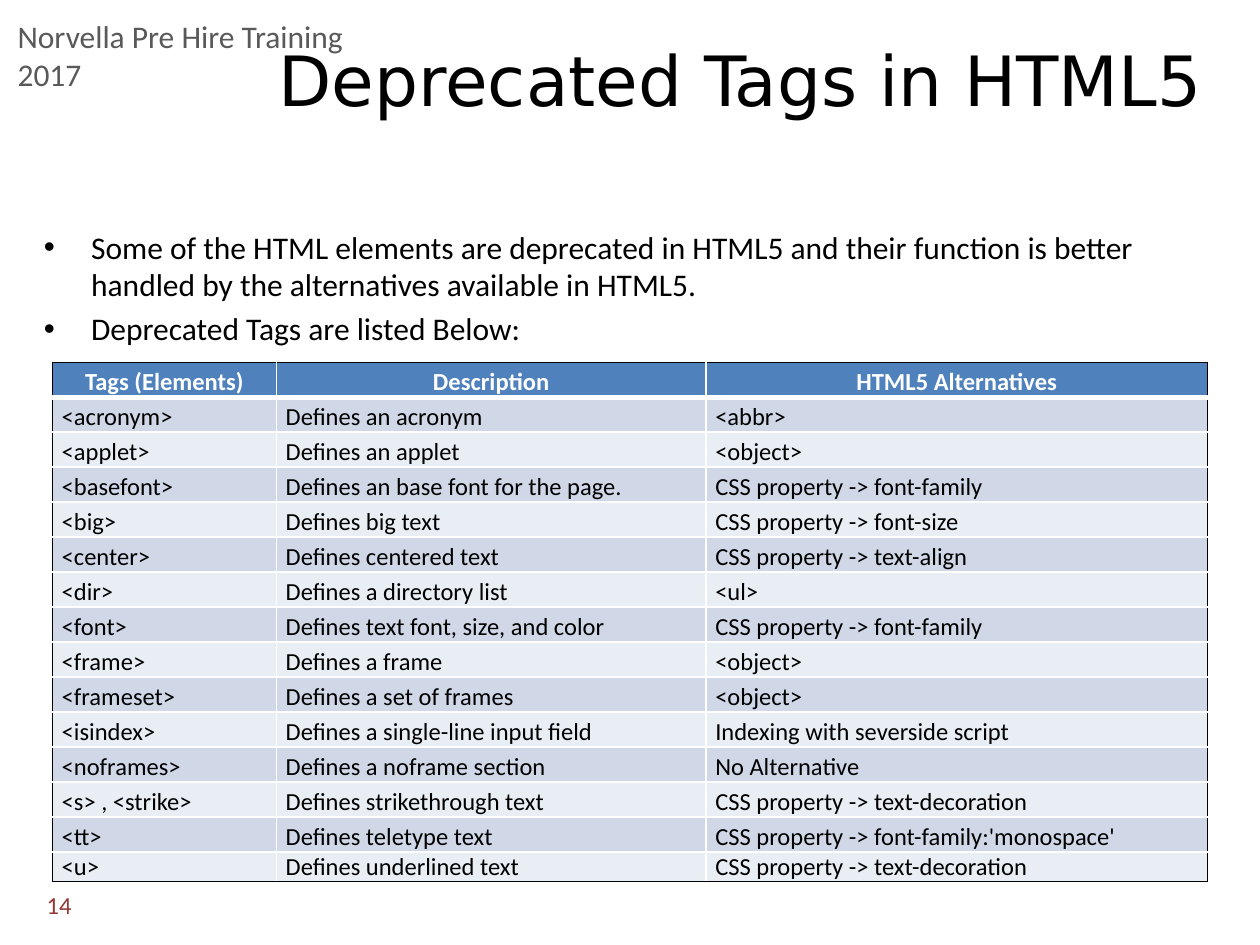
from pptx import Presentation, util as u
from pptx.dml.color import RGBColor
from pptx.enum import text as t
from lxml import etree

BLACK = RGBColor(0, 0, 0)
WHITE = RGBColor(255, 255, 255)
GREY = RGBColor(0x59, 0x59, 0x59)
RED = RGBColor(0x95, 0x37, 0x35)
BLUE = RGBColor(0x4F, 0x81, 0xBD)
DARK = RGBColor(0xD0, 0xD8, 0xE8)
LIGHT = RGBColor(0xE9, 0xED, 0xF4)
NS = "http://schemas.openxmlformats.org/drawingml/2006/main"
LEFT, MID, RIGHT = t.PP_ALIGN.LEFT, t.PP_ALIGN.CENTER, t.PP_ALIGN.RIGHT


def tag(name):
    return "{%s}%s" % (NS, name)


class Deck:
    font = "Calibri"

    def __init__(self, wide, high):
        self.prs = Presentation()
        self.prs.slide_width = u.Pt(wide)
        self.prs.slide_height = u.Pt(high)
        self.slide = self.prs.slides.add_slide(self.prs.slide_layouts[6])

    def style(self, para, size, color, align=LEFT, bold=False, font=None):
        para.alignment = align
        for run in para.runs:
            run.font.name = font or self.font
            run.font.size = u.Pt(size)
            run.font.bold = bold
            run.font.color.rgb = color

    def text(self, box, words, size, color, align=LEFT, font=None,
             anchor=t.MSO_ANCHOR.TOP, wrap=True):
        frame = self.slide.shapes.add_textbox(*map(u.Pt, box)).text_frame
        frame.word_wrap = wrap
        frame.vertical_anchor = anchor
        frame.text = words
        for para in frame.paragraphs:
            self.style(para, size, color, align, font=font)
        return frame

    def list(self, box, items, size, color, indent):
        frame = self.text(box, "\n".join(items), size, color)
        for para in frame.paragraphs:
            para.space_before = u.Pt(size * 0.2)
            props = para._p.get_or_add_pPr()
            props.set("marL", str(u.Pt(indent)))
            props.set("indent", str(-u.Pt(indent)))
            etree.SubElement(props, tag("buFont"), typeface="Arial")
            etree.SubElement(props, tag("buChar"), char="•")

    def edge(self, cell, side, color, width):
        line = etree.Element(tag("ln" + side), w=str(u.Pt(width)))
        fill = etree.SubElement(line, tag("solidFill"))
        etree.SubElement(fill, tag("srgbClr"), val=str(color))
        cell._tc.get_or_add_tcPr().insert("LRTB".index(side), line)

    def cell(self, cell, words, head, fill):
        cell.text = words
        cell.vertical_anchor = t.MSO_ANCHOR.BOTTOM
        cell.margin_left = cell.margin_right = u.Pt(5.3)
        cell.margin_top = cell.margin_bottom = 0
        cell.fill.solid()
        cell.fill.fore_color.rgb = fill
        self.style(cell.text_frame.paragraphs[0], 14, WHITE if head else BLACK,
                   MID if head else LEFT, head)

    def table(self, left, top, cols, rows, data):
        grid = self.slide.shapes.add_table(
            len(rows), len(cols), u.Pt(left), u.Pt(top),
            u.Pt(sum(cols)), u.Pt(sum(rows))).table
        grid.horz_banding = False
        for col, wide in zip(grid.columns, cols):
            col.width = u.Pt(wide)
        for row, high in zip(grid.rows, rows):
            row.height = u.Pt(high)
        for r, line in enumerate(data):
            fill = BLUE if r == 0 else DARK if r % 2 else LIGHT
            for c, words in enumerate(line):
                cell = grid.cell(r, c)
                self.cell(cell, words, r == 0, fill)
                outer = {"L": c == 0, "R": c == len(cols) - 1,
                         "T": r == 0, "B": r == len(rows) - 1}
                for side, out in outer.items():
                    thick = (r, side) in ((0, "B"), (1, "T"))
                    self.edge(cell, side, BLACK if out else WHITE,
                              0.75 if out else 3 if thick else 1)


TAGS = [
    ("Tags (Elements)", "Description", "HTML5 Alternatives"),
    ("<acronym>", "Defines an acronym", "<abbr>"),
    ("<applet>", "Defines an applet", "<object>"),
    ("<basefont>", "Defines an base font for the page.", "CSS property -> font-family"),
    ("<big>", "Defines big text", "CSS property -> font-size"),
    ("<center>", "Defines centered text", "CSS property -> text-align"),
    ("<dir>", "Defines a directory list", "<ul>"),
    ("<font>", "Defines text font, size, and color", "CSS property -> font-family"),
    ("<frame>", "Defines a frame", "<object>"),
    ("<frameset>", "Defines a set of frames", "<object>"),
    ("<isindex>", "Defines a single-line input field", "Indexing with severside script"),
    ("<noframes>", "Defines a noframe section", "No Alternative"),
    ("<s> , <strike>", "Defines strikethrough text", "CSS property -> text-decoration"),
    ("<tt>", "Defines teletype text", "CSS property -> font-family:'monospace'"),
    ("<u>", "Defines underlined text", "CSS property -> text-decoration"),
]
POINTS = [
    "Some of the HTML elements are deprecated in HTML5 and their function is "
    "better handled by the alternatives available in HTML5.",
    "Deprecated Tags are listed Below:",
]

deck = Deck(720, 540)
deck.text((3, 6, 240.5, 29), "Norvella Pre Hire Training 2017", 18, GREY, wrap=False)
deck.text((126, 0, 594, 90), "Deprecated Tags in HTML5", 39.6, BLACK, MID,
          "DejaVu Sans", t.MSO_ANCHOR.MIDDLE)
deck.text((12, 506, 36, 22), "14", 14, RED, RIGHT, anchor=t.MSO_ANCHOR.MIDDLE)
deck.table(30, 207, (128, 245.5, 286.5), [20] * (len(TAGS) - 1) + [17], TAGS)
deck.list((18, 126.5, 690, 389.5), POINTS, 18, BLACK, 27)
deck.prs.save("out.pptx")
